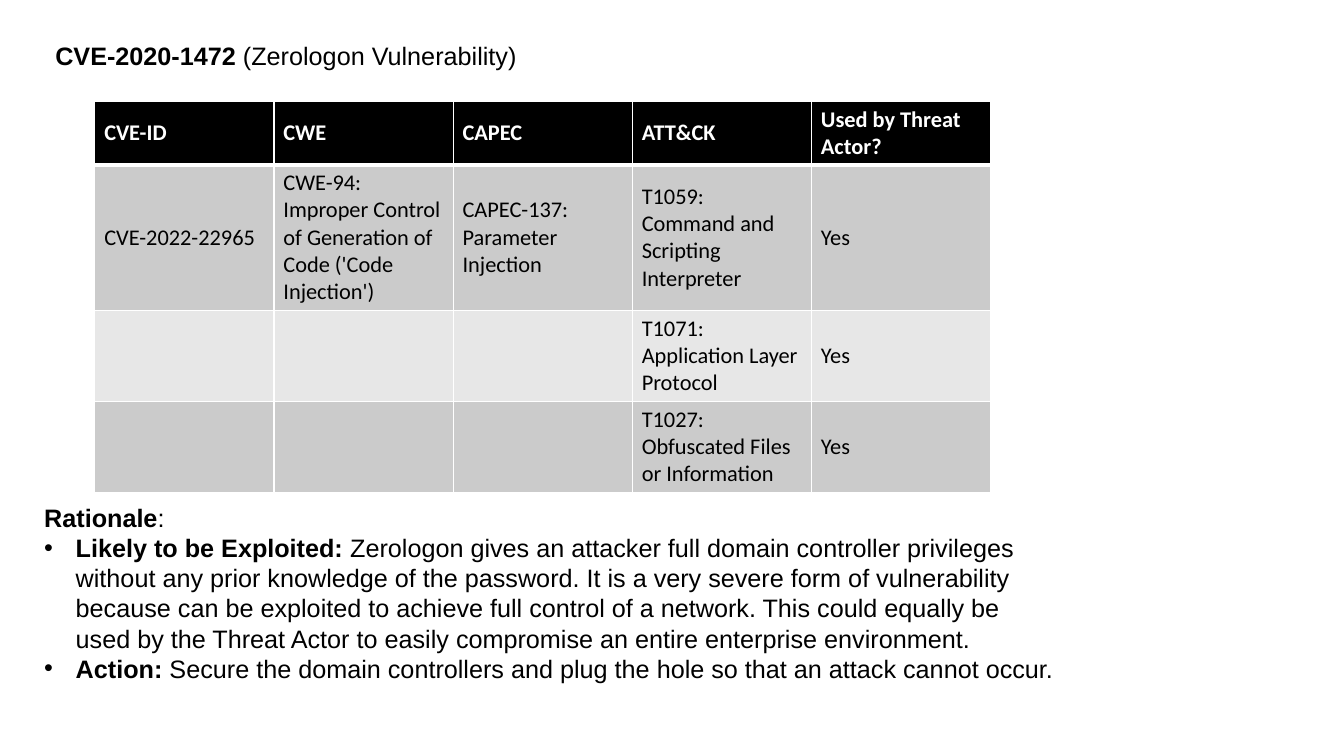
from dataclasses import dataclass

from lxml.etree import SubElement
from pptx import Presentation
from pptx.dml.color import RGBColor
from pptx.enum.text import MSO_ANCHOR, MSO_AUTO_SIZE
from pptx.oxml import parse_xml
from pptx.oxml.ns import nsdecls, qn
from pptx.util import Pt


@dataclass(frozen=True)
class Theme:
    black: str = "000000"
    white: str = "FFFFFF"
    dark_band: str = "CBCBCB"
    light_band: str = "E7E7E7"
    body_font: str = "Arial"
    table_font: str = "Calibri"
    body_size: int = 18
    table_size: int = 16


THEME = Theme()

HEADERS = ["CVE-ID", "CWE", "CAPEC", "ATT&CK", "Used by Threat Actor?"]
MAPPINGS = [
    [
        "CVE-2022-22965",
        "CWE-94: Improper Control of Generation of Code ('Code Injection')",
        "CAPEC-137: Parameter Injection",
        "T1059: Command and Scripting Interpreter",
        "Yes",
    ],
    ["", "", "", "T1071: Application Layer Protocol", "Yes"],
    ["", "", "", "T1027: Obfuscated Files or Information", "Yes"],
]
ROW_HEIGHTS = [45, 104, 65, 65]
COLUMN_WIDTH = 128

TITLE = ("CVE-2020-1472", " (Zerologon Vulnerability)")
RATIONALE = ("Rationale", ":")
REASONS = [
    (
        "Likely to be Exploited: ",
        "Zerologon gives an attacker full domain controller privileges without any "
        "prior knowledge of the password. It is a very severe form of vulnerability "
        "because can be exploited to achieve full control of a network. This could "
        "equally be used by the Threat Actor to easily compromise an entire "
        "enterprise environment.",
    ),
    (
        "Action: ",
        "Secure the domain controllers and plug the hole so that an attack cannot occur.",
    ),
]


def add_run(paragraph, text, font_name, size, color, bold):
    run = paragraph.add_run()
    run.text = text
    run.font.name = font_name
    run.font.size = Pt(size)
    run.font.bold = bold
    run.font.color.rgb = RGBColor.from_string(color)


def add_labelled_text(paragraph, label, text):
    """Write a bold label followed by regular text."""
    for content, bold in ((label, True), (text, False)):
        add_run(paragraph, content, THEME.body_font, THEME.body_size, THEME.black, bold)


def add_text_box(slide, left, top, width, height):
    box = slide.shapes.add_textbox(Pt(left), Pt(top), Pt(width), Pt(height))
    box.text_frame.word_wrap = True
    box.text_frame.auto_size = MSO_AUTO_SIZE.SHAPE_TO_FIT_TEXT
    return box.text_frame


def set_bullet(paragraph):
    properties = paragraph._p.get_or_add_pPr()
    properties.set("marL", str(Pt(22.5)))
    properties.set("indent", str(Pt(-22.5)))
    SubElement(properties, qn("a:buFont"), typeface="Arial")
    SubElement(properties, qn("a:buChar"), char="•")


def set_borders(cell, top, bottom):
    """Draw white borders, one point wide at the sides."""
    properties = cell._tc.get_or_add_tcPr()
    widths = {"lnL": 1, "lnR": 1, "lnT": top, "lnB": bottom}
    for position, (tag, width) in enumerate(widths.items()):
        line = parse_xml(
            f'<a:{tag} {nsdecls("a")} w="{Pt(width)}"><a:solidFill>'
            f'<a:srgbClr val="{THEME.white}"/></a:solidFill></a:{tag}>'
        )
        properties.insert(position, line)


def fill_cell(cell, text, fill, color, bold):
    cell.fill.solid()
    cell.fill.fore_color.rgb = RGBColor.from_string(fill)
    cell.vertical_anchor = MSO_ANCHOR.MIDDLE
    cell.margin_left = cell.margin_right = Pt(6.8)
    cell.margin_top = cell.margin_bottom = Pt(3)
    paragraph = cell.text_frame.paragraphs[0]
    if text:
        add_run(paragraph, text, THEME.table_font, THEME.table_size, color, bold)
    else:
        paragraph.font.size = Pt(THEME.table_size)


def add_mapping_table(slide, left, top):
    rows = [HEADERS, *MAPPINGS]
    frame = slide.shapes.add_table(
        len(rows), len(HEADERS), Pt(left), Pt(top),
        Pt(COLUMN_WIDTH * len(HEADERS)), Pt(sum(ROW_HEIGHTS)),
    )
    table = frame.table
    for column in table.columns:
        column.width = Pt(COLUMN_WIDTH)
    for row_index, texts in enumerate(rows):
        table.rows[row_index].height = Pt(ROW_HEIGHTS[row_index])
        is_header = row_index == 0
        band = THEME.dark_band if row_index % 2 else THEME.light_band
        fill = THEME.black if is_header else band
        color = THEME.white if is_header else THEME.black
        for column_index, text in enumerate(texts):
            cell = table.cell(row_index, column_index)
            fill_cell(cell, text, fill, color, is_header)
            set_borders(cell, 3 if row_index == 1 else 1, 3 if is_header else 1)


def add_rationale(slide):
    text_frame = add_text_box(slide, 24.5, 355, 738, 138)
    add_labelled_text(text_frame.paragraphs[0], *RATIONALE)
    for label, text in REASONS:
        paragraph = text_frame.add_paragraph()
        set_bullet(paragraph)
        add_labelled_text(paragraph, label, text)


def main():
    presentation = Presentation()
    presentation.slide_width = Pt(960)
    presentation.slide_height = Pt(540)
    slide = presentation.slides.add_slide(presentation.slide_layouts[6])

    title = add_text_box(slide, 32.4, 25.2, 480, 29)
    add_labelled_text(title.paragraphs[0], *TITLE)
    add_mapping_table(slide, 67.7, 72.7)
    add_rationale(slide)

    presentation.save("out.pptx")


if __name__ == "__main__":
    main()
